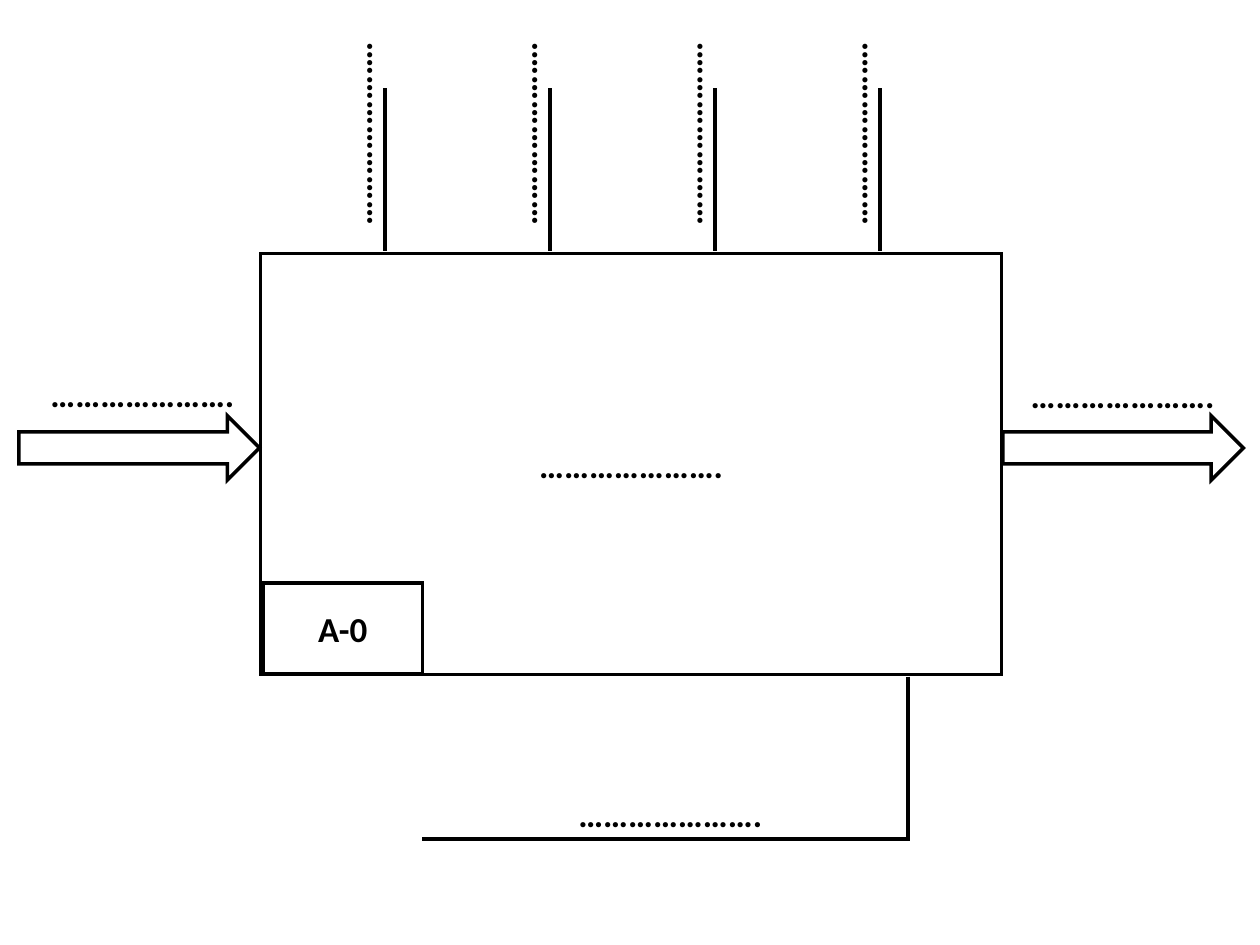
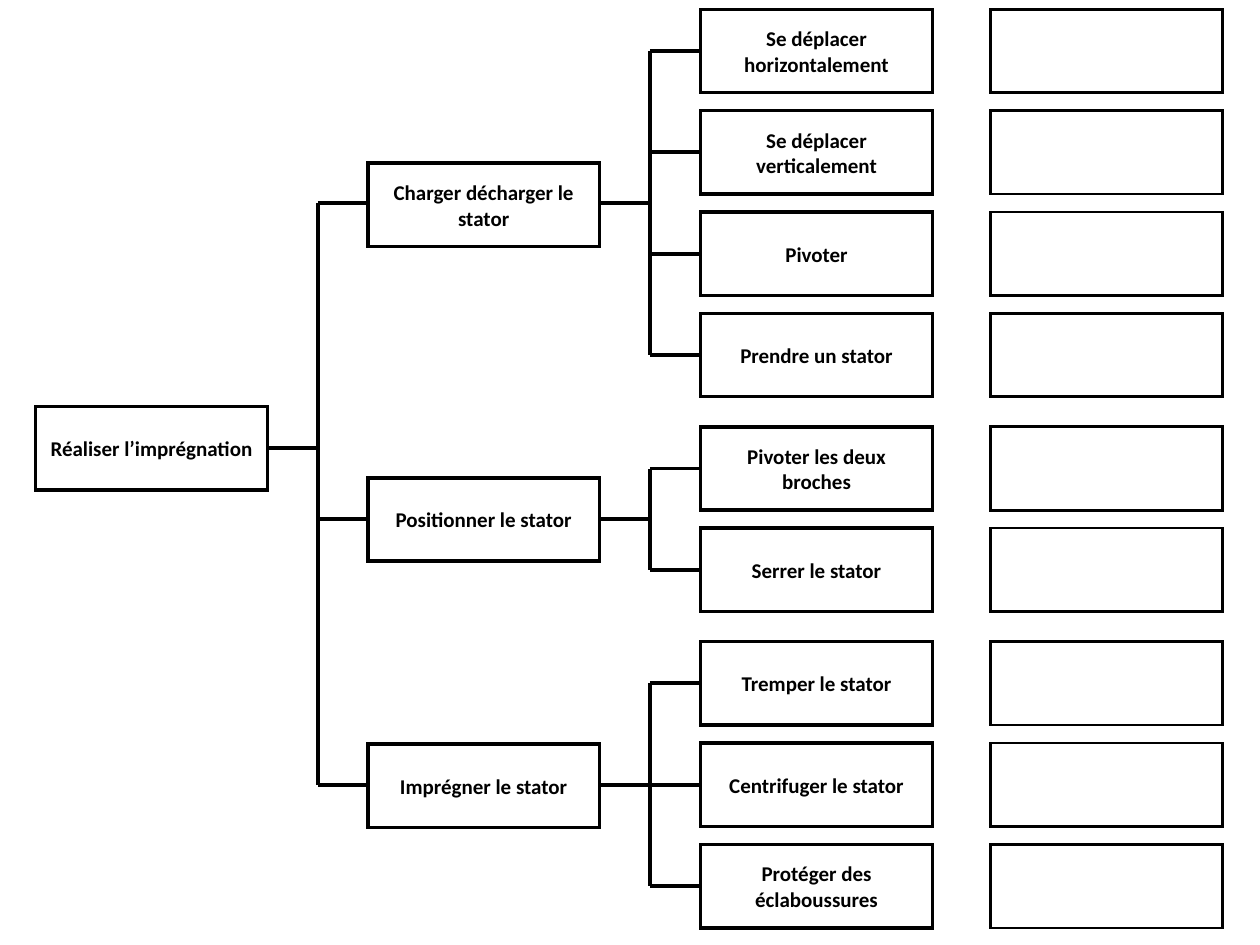
"""Builds a blank functional-analysis box and a function tree on two slides."""
from lxml import etree
from pptx import Presentation
from pptx import util as u
from pptx.dml import color
from pptx.enum import shapes, text
from pptx.oxml import ns

BLACK, WHITE = "000000", "FFFFFF"
FONT = "Calibri"
BLANK = "…………………."

ACTIVITY = (149, 144.9, 423.4, 240.5)
LEVEL = ("A-0", (150.2, 333.2, 91.4, 51.8))
FLOWS = [
    ((10.8, 237.6, 137.5, 36.7), (13.7, 197.3, 135.4, 54.7)),
    ((573, 237.6, 137.5, 36.7), (573.8, 198, 135.4, 54.7)),
]
CONTROL_COUNT, CONTROL_X, CONTROL_STEP = 4, 219.9, 94.3
CONTROL_TOP, CONTROL_BOTTOM = 50.4, 143.3
CONTROL_LABEL = (15.2, 49, 135.4, 54.7)
SUPPORT = [(519, 386.6, 519, 479.5), (241.2, 479.5, 519.8, 479.5)]
SUPPORT_LABEL = (306.7, 437, 152.6, 55.4)

ROOT = ("Réaliser l’imprégnation", 232.4)
FUNCTIONS = [
    ("Charger décharger le stator", 93.3,
     ["Se déplacer horizontalement", "Se déplacer verticalement", "Pivoter", "Prendre un stator"]),
    ("Positionner le stator", 273, ["Pivoter les deux broches", "Serrer le stator"]),
    ("Imprégner le stator", 425.2,
     ["Tremper le stator", "Centrifuger le stator", "Protéger des éclaboussures"]),
]
BOX_W, BOX_H = 132.5, 47.7
ROOT_X, FUNCTION_X, TASK_X, ANSWER_X = 20.4, 210.2, 400.4, 566.2
TRUNK_GAP = 28.7
FIRST_TOP, ROW_STEP, GROUP_GAP = 5.3, 57.9, 7


def rgb(hex_code):
    return color.RGBColor.from_string(hex_code)


def write(shape, words, size):
    frame = shape.text_frame
    frame.word_wrap = True
    frame.vertical_anchor = text.MSO_ANCHOR.MIDDLE
    frame.margin_left = frame.margin_right = u.Pt(7.2)
    frame.margin_top = frame.margin_bottom = 0
    paragraph = frame.paragraphs[0]
    paragraph.alignment = text.PP_ALIGN.CENTER
    paragraph.space_after = u.Pt(10)
    run = paragraph.add_run()
    run.text = words
    run.font.name, run.font.size, run.font.bold = FONT, u.Pt(size), True
    run.font.color.rgb = rgb(BLACK)


def outline(slide, place, words="", size=12, weight=2, fill=None, kind=shapes.MSO_SHAPE.RECTANGLE):
    shape = slide.shapes.add_shape(kind, *map(u.Pt, place))
    shape.shadow.inherit = False
    if fill:
        shape.fill.solid()
        shape.fill.fore_color.rgb = rgb(fill)
    else:
        shape.fill.background()
    shape.line.color.rgb = rgb(BLACK)
    shape.line.width = u.Pt(weight)
    border = shape._element.spPr.find(ns.qn("a:ln"))
    etree.SubElement(border, ns.qn("a:miter"), lim="800000")
    if words:
        write(shape, words, size)


def label(slide, place, rotation=0):
    box = slide.shapes.add_textbox(*map(u.Pt, place))
    box.rotation = rotation
    write(box, BLANK, 20)


def link(slide, *ends):
    line = slide.shapes.add_connector(shapes.MSO_CONNECTOR.STRAIGHT, *map(u.Pt, ends))
    line.line.color.rgb = rgb(BLACK)
    line.line.width = u.Pt(2.25)
    etree.SubElement(line._element.spPr, ns.qn("a:effectLst"))


def branch(slide, parent_x, parent_y, child_x, child_ys):
    trunk_x = parent_x + BOX_W + TRUNK_GAP
    link(slide, parent_x + BOX_W, parent_y, trunk_x, parent_y)
    link(slide, trunk_x, child_ys[0], trunk_x, child_ys[-1])
    for y in child_ys:
        link(slide, trunk_x, y, child_x, y)


def draw_activity(slide):
    outline(slide, ACTIVITY, BLANK, 20)
    outline(slide, LEVEL[1], LEVEL[0], 20, fill=WHITE)
    for arrow, caption in FLOWS:
        outline(slide, arrow, fill=WHITE, kind=shapes.MSO_SHAPE.RIGHT_ARROW)
        label(slide, caption)
    offset, top, width, height = CONTROL_LABEL
    for i in range(CONTROL_COUNT):
        x = CONTROL_X + i * CONTROL_STEP
        link(slide, x, CONTROL_TOP, x, CONTROL_BOTTOM)
        label(slide, (x - offset - width / 2, top, width, height), 270)
    for ends in SUPPORT:
        link(slide, *ends)
    label(slide, SUPPORT_LABEL)


def draw_tree(slide):
    middle = BOX_H / 2
    root_name, root_top = ROOT
    outline(slide, (ROOT_X, root_top, BOX_W, BOX_H), root_name)
    top = FIRST_TOP
    function_ys = []
    for name, function_top, tasks in FUNCTIONS:
        outline(slide, (FUNCTION_X, function_top, BOX_W, BOX_H), name)
        task_ys = []
        for task in tasks:
            outline(slide, (TASK_X, top, BOX_W, BOX_H), task)
            outline(slide, (ANSWER_X, top, BOX_W, BOX_H), weight=1.5)
            task_ys.append(top + middle)
            top += ROW_STEP
        top += GROUP_GAP
        function_y = (task_ys[0] + task_ys[-1]) / 2
        function_ys.append(function_y)
        branch(slide, FUNCTION_X, function_y, TASK_X, task_ys)
    branch(slide, ROOT_X, root_top + middle, FUNCTION_X, function_ys)


def main():
    deck = Presentation()
    deck.slide_width, deck.slide_height = u.Pt(720), u.Pt(540)
    for draw in (draw_activity, draw_tree):
        draw(deck.slides.add_slide(deck.slide_layouts[6]))
    deck.save("out.pptx")


if __name__ == "__main__":
    main()
